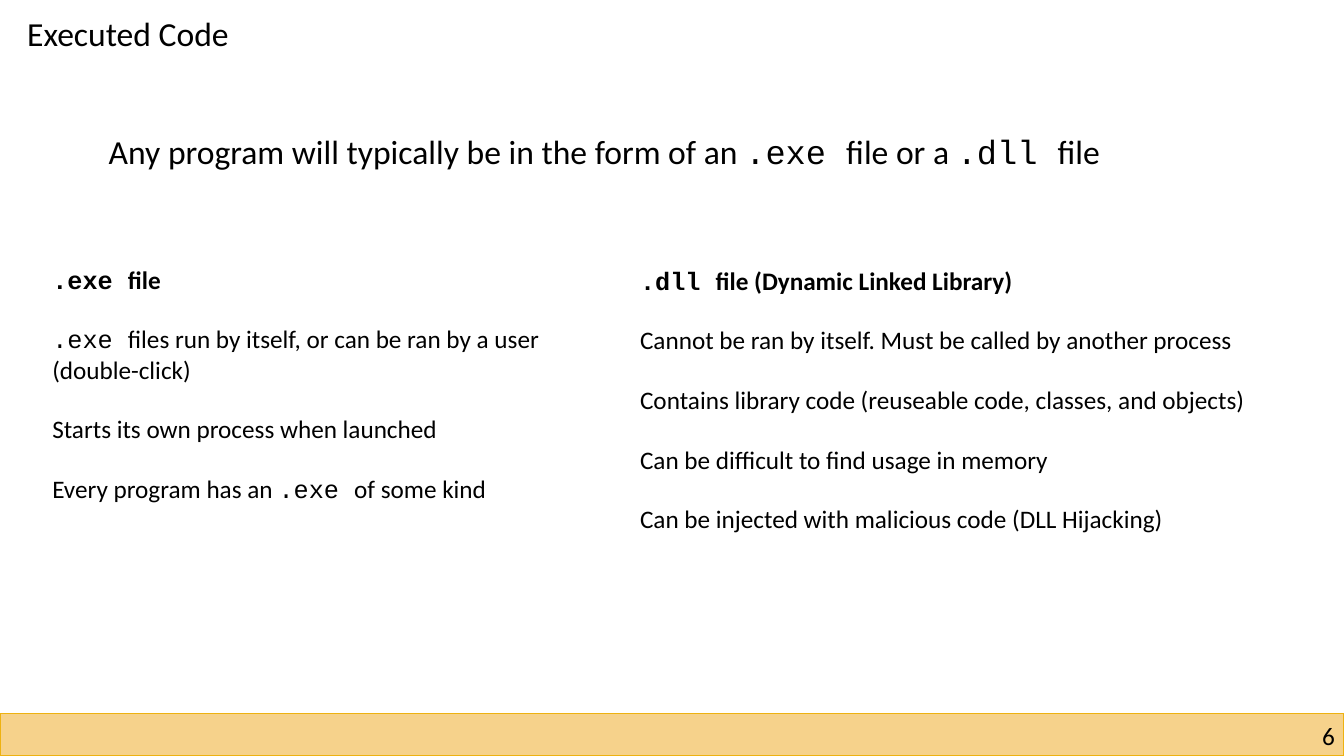
from dataclasses import dataclass

from pptx import Presentation
from pptx import util as u
from pptx.dml.color import RGBColor
from pptx.enum import shapes, text


@dataclass(frozen=True)
class Theme:
    body_font: str = "Calibri"
    code_font: str = "Courier New"
    ink: RGBColor = RGBColor(0x00, 0x00, 0x00)
    bar_fill: RGBColor = RGBColor(0xF6, 0xD2, 0x8B)
    bar_line: RGBColor = RGBColor(0xEE, 0xB2, 0x11)
    large: u.Pt = u.Pt(24)
    normal: u.Pt = u.Pt(18)
    paragraph_gap: u.Pt = u.Pt(21)


class SlideBuilder:
    def __init__(self, slide, theme):
        self.slide = slide
        self.theme = theme

    def fill_paragraph(self, paragraph, content, size, bold=False):
        """Fill a paragraph; parts between backticks use the code font."""
        paragraph.alignment = text.PP_ALIGN.LEFT
        font = paragraph.font
        font.name, font.size, font.bold = self.theme.body_font, size, bold
        font.color.rgb = self.theme.ink
        for index, part in enumerate(content.split("`")):
            if part:
                run = paragraph.add_run()
                run.text = part
                if index % 2:
                    run.font.name = self.theme.code_font

    def title(self, content, *box):
        shape = self.slide.shapes.title
        shape.left, shape.top, shape.width, shape.height = map(u.Inches, box)
        frame = shape.text_frame
        frame.word_wrap = False
        frame.auto_size = text.MSO_AUTO_SIZE.NONE
        frame.vertical_anchor = text.MSO_ANCHOR.TOP
        paragraph = frame.paragraphs[0]
        self.fill_paragraph(paragraph, content, self.theme.large)
        paragraph.line_spacing = 1.0
        paragraph.space_before = u.Pt(0)

    def text_box(self, content, *box, size, bold=False, wrap=True):
        shape = self.slide.shapes.add_textbox(*map(u.Inches, box))
        frame = shape.text_frame
        frame.word_wrap = wrap
        self.fill_paragraph(frame.paragraphs[0], content, size, bold)
        return frame

    def column(self, heading, points, *box):
        frame = self.text_box(heading, *box, size=self.theme.normal, bold=True)
        for point in points:
            paragraph = frame.add_paragraph()
            self.fill_paragraph(paragraph, point, self.theme.normal)
            paragraph.space_before = self.theme.paragraph_gap

    def bar(self, *box):
        shape = self.slide.shapes.add_shape(
            shapes.MSO_SHAPE.RECTANGLE, *map(u.Inches, box))
        shape.shadow.inherit = False
        shape.fill.solid()
        shape.fill.fore_color.rgb = self.theme.bar_fill
        shape.line.color.rgb = self.theme.bar_line
        shape.line.width = u.Pt(1)

    def page_number(self, number, *box):
        frame = self.text_box(number, *box, size=self.theme.normal)
        frame.margin_left = frame.margin_right = 0
        frame.margin_top = frame.margin_bottom = 0
        frame.paragraphs[0].alignment = text.PP_ALIGN.RIGHT


def main():
    presentation = Presentation()
    presentation.slide_width = u.Inches(13.33)
    presentation.slide_height = u.Inches(7.5)
    title_only = presentation.slide_layouts[5]
    theme = Theme()
    builder = SlideBuilder(presentation.slides.add_slide(title_only), theme)

    # Footer
    builder.bar(0, 7.08, 13.33, 0.42)
    builder.page_number("6", 10.17, 7.15, 3.07, 0.3)

    # Title and lead sentence
    builder.title("Executed Code", 0.17, 0.08, 2.51, 0.5)
    builder.text_box(
        "Any program will typically be in the form of an `.exe `file or a `.dll `file",
        0.98, 1.25, 10.72, 0.5, size=theme.large, wrap=False)

    # Comparison columns
    builder.column("`.exe `file", [
        "`.exe `files run by itself, or can be ran by a user (double-click)",
        "Starts its own process when launched",
        "Every program has an `.exe `of some kind",
    ], 0.42, 2.57, 5.25, 2.52)
    builder.column("`.dll `file (Dynamic Linked Library)", [
        "Cannot be ran by itself. Must be called by another process",
        "Contains library code (reuseable code, classes, and objects)",
        "Can be difficult to find usage in memory",
        "Can be injected with malicious code (DLL Hijacking)",
    ], 6.25, 2.58, 6.92, 2.83)

    presentation.save("out.pptx")


if __name__ == "__main__":
    main()
